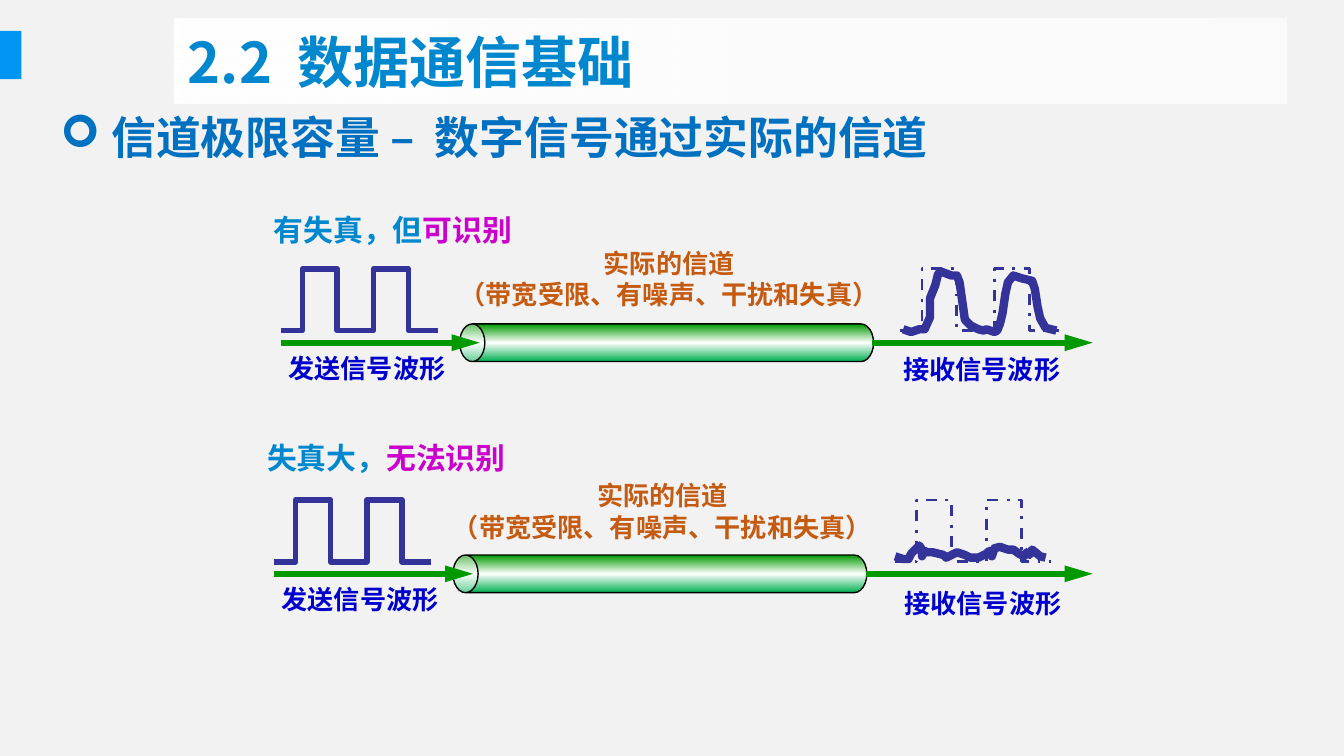
from lxml import etree
from pptx import Presentation
from pptx.dml.color import RGBColor
from pptx.enum.dml import MSO_LINE
from pptx.enum.shapes import MSO_CONNECTOR, MSO_SHAPE
from pptx.enum.text import MSO_ANCHOR, PP_ALIGN
from pptx.oxml.ns import qn
from pptx.util import Emu, Inches, Pt

CAN, RECT = MSO_SHAPE.CAN, MSO_SHAPE.RECTANGLE
STRAIGHT, DASH_DOT = MSO_CONNECTOR.STRAIGHT, MSO_LINE.DASH_DOT
LEFT, CENTER, MIDDLE = PP_ALIGN.LEFT, PP_ALIGN.CENTER, MSO_ANCHOR.MIDDLE

COLORS = {
    "page": "F2F2F2", "tab": "0095F0", "title": "0087CD", "subtitle": "0070C0",
    "verdict": "CC00CC", "channel": "C55A11", "label": "0000CC", "wave": "333399",
    "arrow": "009900", "emerald": "00B050", "white": "FFFFFF", "black": "000000",
}
CJK = "Noto Sans CJK SC"
COLS = 1000

prs = Presentation()
prs.slide_width = Inches(10)
prs.slide_height = prs.slide_width * 9 // 16
UNIT = prs.slide_width // COLS
slide = prs.slides.add_slide(prs.slide_layouts[6])
shapes = slide.shapes


def rgb(name):
    return RGBColor.from_string(COLORS[name])


def grid(*cells):
    return [Emu(round(c * UNIT)) for c in cells]


def sub(parent, tag, **attrs):
    return etree.SubElement(parent, qn(tag), attrs)


def gradient(sp, stops):
    sp.fill.gradient()
    sp.fill.gradient_angle = 0
    stop_list = sp.fill._fill._gradFill.find(qn("a:gsLst"))
    for stop in list(stop_list):
        stop_list.remove(stop)
    for pos, name, alpha in stops:
        stop = sub(stop_list, "a:gs", pos=str(pos * 1000))
        color = sub(stop, "a:srgbClr", val=COLORS[name])
        if alpha < 100:
            sub(color, "a:alpha", val=str(alpha * 1000))


def block(kind, box):
    sp = shapes.add_shape(kind, *grid(*box))
    sp.shadow.inherit = False
    sp.line.fill.background()
    return sp


def write(sp, paragraphs, size, font=CJK, align=LEFT, wrap=False):
    tf = sp.text_frame
    tf.word_wrap = wrap
    for i, runs in enumerate(paragraphs):
        p = tf.add_paragraph() if i else tf.paragraphs[0]
        p.alignment = align
        for text, color in runs:
            r = p.add_run()
            r.text = text
            r.font.size, r.font.bold, r.font.name = Pt(size), True, font
            r.font.color.rgb = rgb(color)
            sub(r.font._element, "a:ea", typeface=CJK)
    return tf


def text(box, paragraphs, size, **kwargs):
    return write(shapes.add_textbox(*grid(*box)), paragraphs, size, **kwargs)


def wave(x, y, points, weight, dash=None):
    (x0, y0), *rest = [(x + dx, y + dy) for dx, dy in points]
    builder = shapes.build_freeform(x0, y0, scale=UNIT)
    builder.add_line_segments(rest, close=False)
    sp = builder.convert_to_shape()
    sp.shadow.inherit = False
    sp.fill.background()
    sp.line.color.rgb, sp.line.width = rgb("wave"), Pt(weight)
    if dash:
        sp.line.dash_style = dash
    sub(sp.line._get_or_add_ln(), "a:round")


def arrow(x1, x2, y):
    line = shapes.add_connector(STRAIGHT, *grid(x1, y, x2, y))
    line.line.color.rgb, line.line.width = rgb("arrow"), Pt(3)
    sub(line.line._get_or_add_ln(), "a:tailEnd", type="triangle", w="med", len="lg")
    sub(line._element.spPr, "a:effectLst")


def channel(cx, cy, length, thickness):
    sp = block(CAN, (cx - thickness / 2, cy - length / 2, thickness, length))
    sp.rotation = 270
    sp.adjustments[0] = 0.67
    gradient(sp, [(0, "emerald", 100), (50, "white", 100), (100, "arrow", 100)])
    sp.line.color.rgb, sp.line.width = rgb("black"), Pt(0.75)


def transmission(x, y, finding, verdict, received, channel_dy, label_dx, label_dy):
    axis, receiver = y + 55, x + 461.5
    channel(x + 287, axis, 308, 28)
    wave(x, y, PULSES, 3)
    arrow(x, x + 148, axis)
    wave(receiver, y, PULSES, 1.5, DASH_DOT)
    arrow(x + 440, 813, axis)
    wave(receiver, y, received, 4.5)
    text((x + 122, y + channel_dy, 334, 57),
         [[("实际的信道", "channel")],
          [("（带宽受限、有噪声、干扰和失真）", "channel")]], 14, align=CENTER)
    text((x - 5, y + 57, 138, 34), [[("发送信号波形", "label")]], 14, align=CENTER)
    text((x + label_dx, y + label_dy, 143, 34), [[("接收信号波形", "label")]], 14,
         align=CENTER, wrap=True)
    return text((x - 15, y - 50, 200, 38), [[(finding, "title"), (verdict, "verdict")]], 16)


def header(x, y, w, h):
    sp = block(RECT, (x, y, w, h))
    gradient(sp, [(0, "white", 100), (100, "white", 67)])
    write(sp, [[("2.2  数据通信基础", "title")]], 30, wrap=True).vertical_anchor = MIDDLE


def subtitle(x, y, w, h):
    tf = text((x, y, w, h), [[("信道极限容量 –  数字信号通过实际的信道 ", "subtitle")]], 24,
              font="Calibri", wrap=True)
    pPr = tf.paragraphs[0]._p.get_or_add_pPr()
    indent = 38 * UNIT
    pPr.set("marL", str(indent))
    pPr.set("indent", str(-indent))
    sub(pPr, "a:buFont", typeface="Wingdings", charset="2")
    sub(pPr, "a:buChar", char="➢")


PULSES = [(0, 46), (16, 46), (16, 0), (42, 0), (42, 46),
          (69, 46), (69, 0), (95, 0), (95, 46), (117, 46)]
DISTORTED = [
    (2, 45), (8, 47), (13, 45), (18, 45), (21, 36), (21, 27), (22, 22), (25, 12),
    (27, 4), (30, 2), (37, 5), (42, 5), (44, 10), (46, 24), (48, 38), (51, 42),
    (57, 45), (61, 46), (63, 45), (69, 47), (72, 46), (74, 41), (76, 33), (78, 19),
    (80, 10), (83, 5), (90, 7), (97, 9), (99, 15), (101, 28), (104, 37), (108, 44),
    (115, 46)]
DROWNED = [
    (1, 42), (7, 44), (10, 44), (13, 40), (18, 34), (20, 37), (21, 42), (23, 38),
    (25, 39), (28, 39), (37, 41), (39, 43), (46, 39), (52, 41), (57, 43), (63, 43),
    (68, 40), (71, 38), (73, 42), (75, 36), (78, 35), (84, 37), (89, 37), (93, 40),
    (97, 42), (99, 39), (101, 41), (103, 37), (108, 42), (113, 43)]

slide.background.fill.solid()
slide.background.fill.fore_color.rgb = rgb("page")
tab = block(RECT, (-1, 23, 17, 36))
tab.fill.solid()
tab.fill.fore_color.rgb = rgb("tab")

tf = transmission(209, 200, "有失真，但", "可识别", DISTORTED, -21, 450, 58)
tf.paragraphs[0].line_spacing = 1.1
transmission(204, 372, "失真大，", "无法识别 ", DROWNED, -20, 456, 60)
header(130, 14, 827, 63)
subtitle(35, 77, 921, 50)

prs.save("out.pptx")
